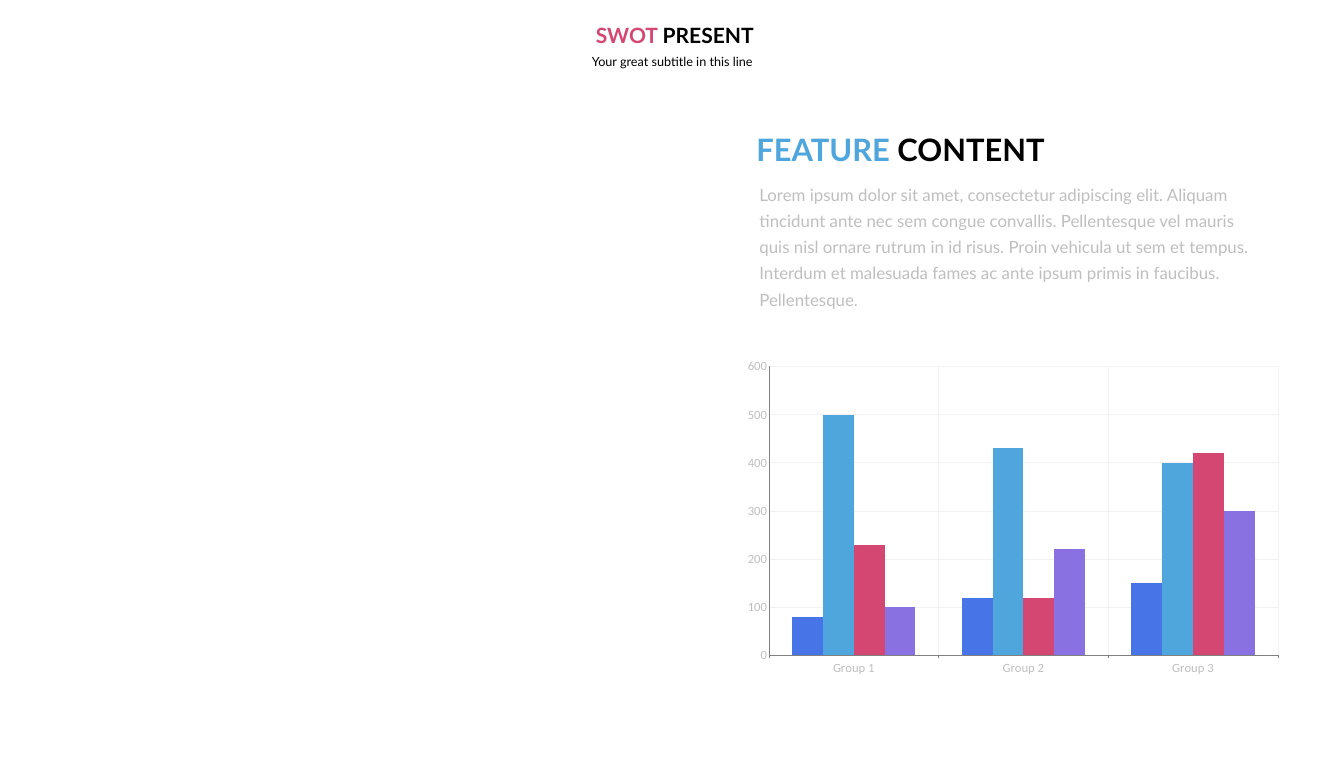
from lxml import etree
from pptx import Presentation
from pptx.chart.data import CategoryChartData
from pptx.dml.color import RGBColor
from pptx.enum.chart import XL_CHART_TYPE, XL_TICK_MARK
from pptx.enum.text import MSO_ANCHOR, MSO_AUTO_SIZE, PP_ALIGN
from pptx.oxml.ns import qn
from pptx.util import Inches, Pt

COLUMNS = XL_CHART_TYPE.COLUMN_CLUSTERED
TICK_NONE, TICK_OUT = XL_TICK_MARK.NONE, XL_TICK_MARK.OUTSIDE
TOP, MIDDLE = MSO_ANCHOR.TOP, MSO_ANCHOR.MIDDLE
GROW = MSO_AUTO_SIZE.SHAPE_TO_FIT_TEXT
LEFT, CENTER = PP_ALIGN.LEFT, PP_ALIGN.CENTER

BLACK, GRAY, LIGHT_GRAY, GRID = "000000", "808080", "BFBFBF", "F2F2F2"
ROYAL, SKY, PINK, VIOLET = "4775E7", "4EA6DC", "D54773", "8971E1"

BODY = (
    "Lorem ipsum dolor sit amet, consectetur adipiscing elit. Aliquam "
    "tincidunt ante nec sem congue convallis. Pellentesque vel mauris "
    "quis nisl ornare rutrum in id risus. Proin vehicula ut sem et tempus. "
    "Interdum et malesuada fames ac ante ipsum primis in faucibus. "
    "Pellentesque."
)
GROUPS = ["Group 1", "Group 2", "Group 3"]
SERIES = [
    ("Series 1", (80, 120, 150), ROYAL),
    ("Series 2", (500, 430, 400), SKY),
    ("Series 3", (230, 120, 420), PINK),
    ("Series 4", (100, 220, 300), VIOLET),
]


def rgb(color):
    return RGBColor.from_string(color)


def add_text(slide, box, runs, size, bold=False, align=LEFT, anchor=TOP,
             insets=(0.1, 0.05), line_spacing=None):
    """Add one paragraph made of (text, colour) runs."""
    sp = slide.shapes.add_textbox(*map(Inches, box))
    tf = sp.text_frame
    tf.word_wrap = True
    tf.auto_size = GROW
    tf.vertical_anchor = anchor
    tf.margin_left = tf.margin_right = Inches(insets[0])
    tf.margin_top = tf.margin_bottom = Inches(insets[1])
    p = tf.paragraphs[0]
    p.alignment = align
    if line_spacing:
        p.line_spacing = line_spacing
    for text, color in runs:
        r = p.add_run()
        r.text = text
        r.font.name = "Lato"
        r.font.size = Pt(size)
        r.font.bold = bold
        r.font.color.rgb = rgb(color)


def style_axis(axis, tick):
    axis.major_tick_mark = tick
    axis.minor_tick_mark = TICK_NONE
    axis.format.line.color.rgb = rgb(GRAY)
    axis.format.line.width = Pt(0.75)
    axis.has_major_gridlines = True
    grid = axis.major_gridlines.format.line
    grid.color.rgb = rgb(GRID)
    grid.width = Pt(0.75)
    font = axis.tick_labels.font
    font.name = "Calibri"
    font.size = Pt(18)
    font.color.rgb = rgb(LIGHT_GRAY)


def place_plot(chart, chart_size, plot_box):
    """Fix the inner plot area, given in inches within the chart."""
    area = chart._chartSpace.chart.plotArea
    for old in area.findall(qn("c:layout")):
        area.remove(old)
    layout = etree.Element(qn("c:layout"))
    manual = etree.SubElement(layout, qn("c:manualLayout"))
    settings = [("layoutTarget", "inner"), ("xMode", "edge"),
                ("yMode", "edge")]
    fractions = [part / whole for part, whole in zip(plot_box, chart_size * 2)]
    for tag, value in settings + list(zip("xywh", fractions)):
        etree.SubElement(manual, qn(f"c:{tag}")).set("val", str(value))
    area.insert(0, layout)


def add_columns(slide, box):
    data = CategoryChartData()
    data.categories = GROUPS
    for name, values, _ in SERIES:
        data.add_series(name, values)
    chart = slide.shapes.add_chart(COLUMNS, *map(Inches, box), data).chart
    chart.has_title = False
    chart.has_legend = False
    chart.font.name = "Calibri"
    chart.font.size = Pt(18)
    chart.font.color.rgb = rgb(GRAY)
    plot = chart.plots[0]
    plot.gap_width = 150
    plot.overlap = 0
    plot.vary_by_categories = False
    for series, (_, _, color) in zip(plot.series, SERIES):
        series.format.fill.solid()
        series.format.fill.fore_color.rgb = rgb(color)
    style_axis(chart.category_axis, TICK_OUT)
    style_axis(chart.value_axis, TICK_NONE)
    chart.value_axis.minimum_scale = 0
    chart.value_axis.maximum_scale = 600
    chart.value_axis.major_unit = 100
    place_plot(chart, box[2:], (0.67, 0.13, 10.07, 5.74))


def main():
    prs = Presentation()
    prs.slide_width, prs.slide_height = Inches(26.6), Inches(15)
    slide = prs.slides.add_slide(prs.slide_layouts[6])
    add_text(slide, (9.22, 0.95, 8.17, 0.55),
             [("Your great subtitle in this line", BLACK)], 18,
             align=CENTER, insets=(0.24, 0.12))
    add_text(slide, (8.3, 0.34, 10.11, 0.71),
             [("SWOT ", PINK), ("PRESENT", BLACK)], 30, bold=True,
             align=CENTER, insets=(0.2, 0.1))
    add_columns(slide, (14.55, 7.1, 11, 6.48))
    add_text(slide, (14.76, 3.38, 10.59, 2.89), [(BODY, LIGHT_GRAY)], 24,
             anchor=MIDDLE, insets=(0.27, 0.13), line_spacing=1.3)
    add_text(slide, (14.87, 2.54, 7.52, 0.84),
             [("FEATURE ", SKY), ("CONTENT", BLACK)], 44, bold=True)
    prs.save("out.pptx")


if __name__ == "__main__":
    main()
